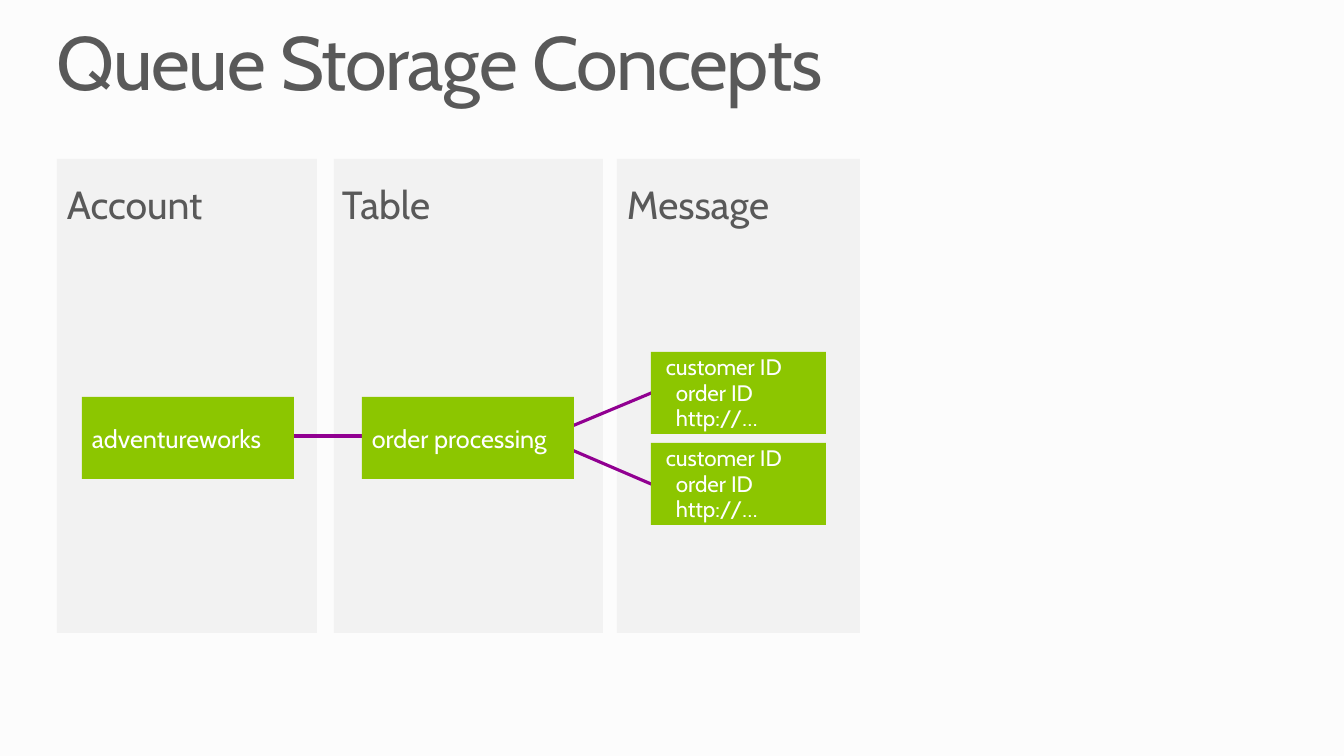
"""Build the Queue Storage Concepts slide."""
from dataclasses import dataclass

import pptx
import pptx.dml.color
import pptx.enum.shapes
import pptx.enum.text
import pptx.oxml.ns
import pptx.util
from lxml import etree

TITLE = "Queue Storage Concepts"
MESSAGE = ["customer ID", "order ID", "http://…"]
PANELS = [("Account", 57, 57, 260), ("Table", 334, 332, 269), ("Message", 617, 617, 243)]
PANEL_TOP, PANEL_HEIGHT, HEADING_HEIGHT = 159, 474, 158
LINKS = [(530, 432, 672, 493), (534, 442, 668, 386), (254, 436, 406, 436)]
NODES = [("adventureworks", 82), ("order processing", 362)]
NODE_TOP, NODE_WIDTH, NODE_HEIGHT = 397, 212, 82
MESSAGE_LEFT, MESSAGE_TOP, MESSAGE_WIDTH, MESSAGE_PITCH = 651, 352, 175, 91
MESSAGE_COUNT = 2
MESSAGE_MARGIN, MESSAGE_OUTDENT = 15, -10


@dataclass(frozen=True)
class Theme:
    font: str = "Cabin"
    background: str = "FCFCFC"
    panel: str = "F2F2F2"
    node: str = "8CC600"
    link: str = "910091"
    dark: str = "595959"
    light: str = "FFFFFF"
    title_size: int = 54
    heading_size: int = 28
    node_size: int = 18
    message_size: int = 16
    message_leading: int = 18
    tight: float = 0.9
    link_width: float = 2.25


THEME = Theme()


def px(length):
    return pptx.util.Emu(round(length * 914400 / 100.8))


def color(value):
    return pptx.dml.color.RGBColor.from_string(value)


def set_insets(frame, left, top, right, bottom):
    frame.margin_left, frame.margin_top = px(left), px(top)
    frame.margin_right, frame.margin_bottom = px(right), px(bottom)


def write(frame, lines, size, ink, leading=None):
    frame.word_wrap = True
    frame.auto_size = pptx.enum.text.MSO_AUTO_SIZE.NONE
    paragraph = frame.paragraphs[0]
    paragraph.alignment = pptx.enum.text.PP_ALIGN.LEFT
    paragraph.line_spacing = leading
    for index, line in enumerate(lines):
        if index:
            paragraph.add_line_break()
        run = paragraph.add_run()
        run.text = line
        run.font.name = THEME.font
        run.font.size = pptx.util.Pt(size)
        run.font.color.rgb = color(ink)
    return paragraph


def add_box(slide, left, top, width, height, fill):
    shape = slide.shapes.add_shape(
        pptx.enum.shapes.MSO_SHAPE.RECTANGLE, px(left), px(top), px(width), px(height))
    shape.shadow.inherit = False
    shape.fill.solid()
    shape.fill.fore_color.rgb = color(fill)
    shape.line.fill.background()
    shape.text_frame.vertical_anchor = pptx.enum.text.MSO_ANCHOR.MIDDLE
    return shape


def add_title(slide):
    title = slide.shapes.title
    title.left, title.top, title.width, title.height = px(57), px(25), px(1230), px(83)
    frame = title.text_frame
    set_insets(frame, 0, 0, 0, 0)
    frame.vertical_anchor = pptx.enum.text.MSO_ANCHOR.TOP
    paragraph = write(frame, [TITLE], THEME.title_size, THEME.dark, THEME.tight)
    paragraph.runs[0].font._element.set("spc", "-100")


def add_panel(slide, heading, left, heading_left, width):
    add_box(slide, left, PANEL_TOP, width, PANEL_HEIGHT, THEME.panel)
    label = slide.shapes.add_textbox(
        px(heading_left), px(PANEL_TOP), px(width), px(HEADING_HEIGHT))
    set_insets(label.text_frame, 10, 27, 27, 27)
    write(label.text_frame, [heading], THEME.heading_size, THEME.dark, THEME.tight)


def add_link(slide, ends):
    link = slide.shapes.add_connector(
        pptx.enum.shapes.MSO_CONNECTOR.STRAIGHT, *map(px, ends))
    link.line.color.rgb = color(THEME.link)
    link.line.width = pptx.util.Pt(THEME.link_width)
    etree.SubElement(link._element.spPr, pptx.oxml.ns.qn("a:effectLst"))


def add_message(slide, top):
    box = add_box(slide, MESSAGE_LEFT, top, MESSAGE_WIDTH, NODE_HEIGHT, THEME.node)
    paragraph = write(box.text_frame, MESSAGE, THEME.message_size, THEME.light,
                      pptx.util.Pt(THEME.message_leading))
    properties = paragraph._p.get_or_add_pPr()
    properties.set("marL", str(px(MESSAGE_MARGIN)))
    properties.set("indent", str(px(MESSAGE_OUTDENT)))


def main():
    presentation = pptx.Presentation()
    presentation.slide_width, presentation.slide_height = px(1344), px(756)
    slide = presentation.slides.add_slide(presentation.slide_layouts[5])
    slide.background.fill.solid()
    slide.background.fill.fore_color.rgb = color(THEME.background)
    add_title(slide)
    for panel in PANELS:
        add_panel(slide, *panel)
    for ends in LINKS:
        add_link(slide, ends)
    for name, left in NODES:
        box = add_box(slide, left, NODE_TOP, NODE_WIDTH, NODE_HEIGHT, THEME.node)
        write(box.text_frame, [name], THEME.node_size, THEME.light)
    for index in range(MESSAGE_COUNT):
        add_message(slide, MESSAGE_TOP + index * MESSAGE_PITCH)
    presentation.save("out.pptx")


if __name__ == "__main__":
    main()
